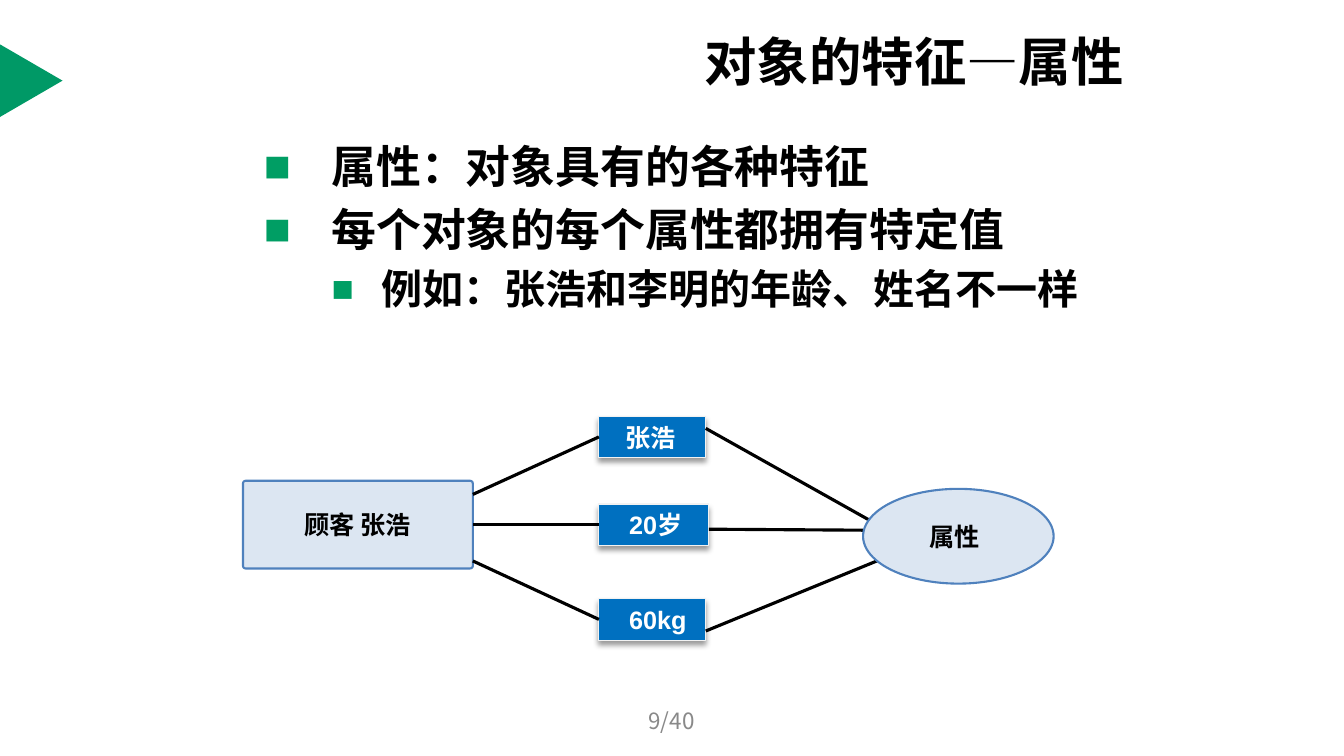
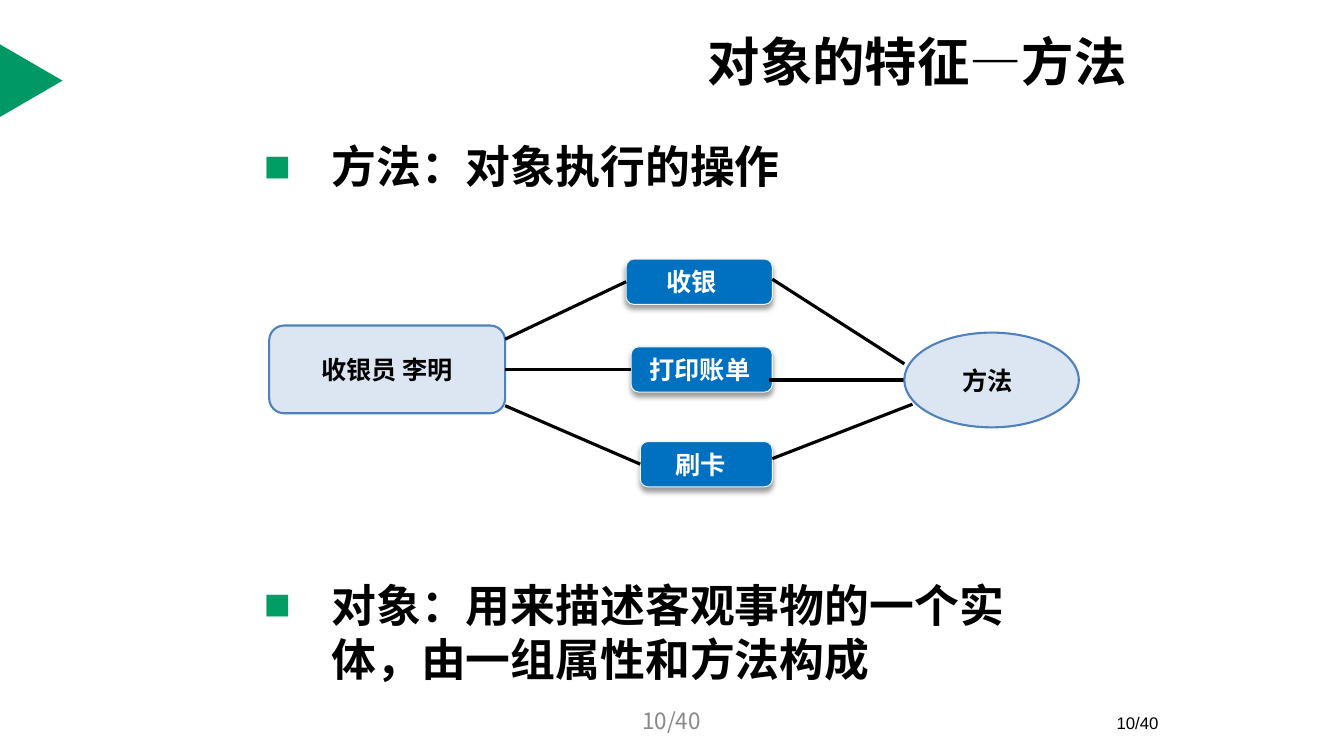
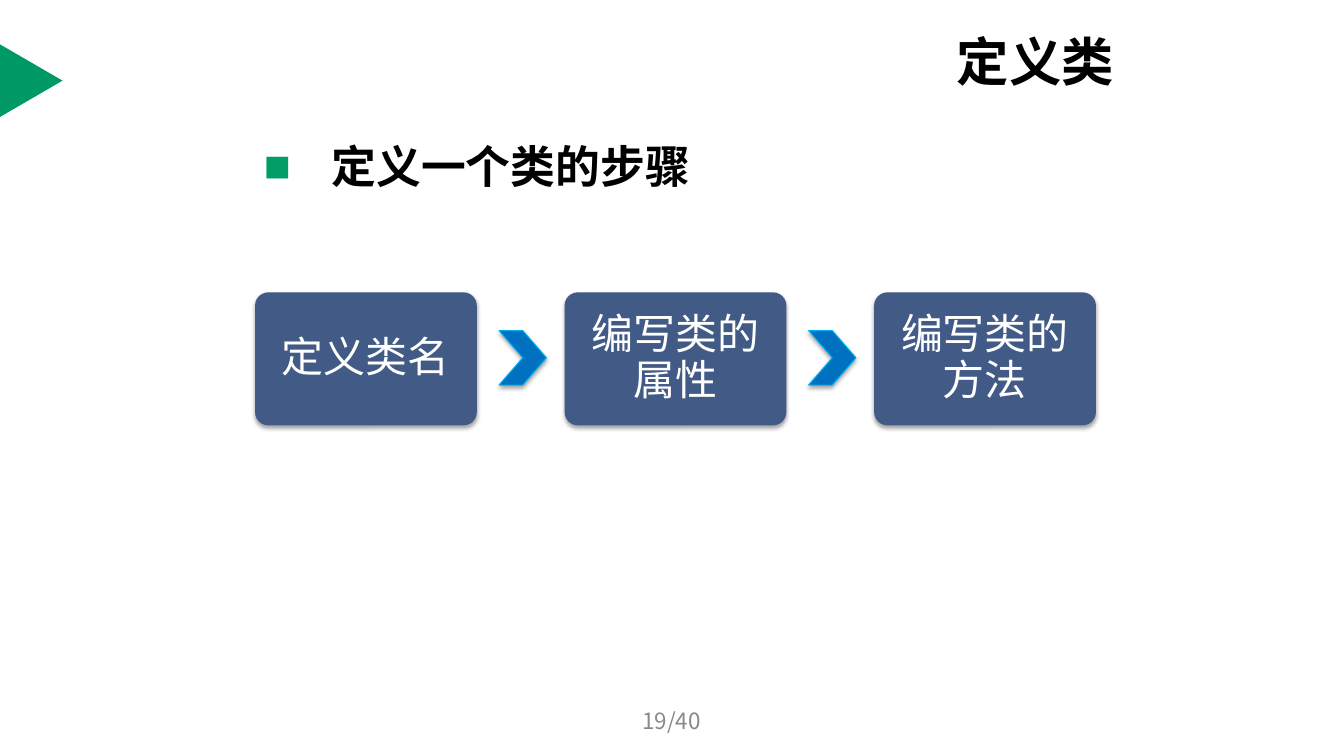
from dataclasses import dataclass

from lxml.etree import SubElement
from pptx import Presentation
from pptx.dml.color import RGBColor
from pptx.enum.shapes import MSO_CONNECTOR, MSO_SHAPE as SHAPE
from pptx.enum.text import MSO_ANCHOR as ANCHOR, PP_ALIGN as ALIGN
from pptx.oxml.ns import qn
from pptx.util import Inches, Pt


@dataclass(frozen=True)
class Theme:
    sans: str = "Noto Sans CJK SC"
    latin: str = "Arial"
    black: str = "000000"
    white: str = "FFFFFF"
    grey: str = "898989"
    flag: str = "009966"
    bullet: str = "009E64"
    blue: str = "0070C0"
    tag_line: str = "F2F2F2"
    pale: str = "DCE6F2"
    pale_line: str = "4F81BD"
    step: str = "415A86"
    chevron_line: str = "00B0F0"
    title_size: float = 37.4
    body_size: float = 32
    sub_size: float = 29.3
    step_size: float = 30
    label_size: float = 18
    page_size: float = 16
    small_size: float = 12


T = Theme()
TAG_SHADOW = (40, 4, 3)
STEP_SHADOW = (35, 3.1, 1.8)


def rgb(color):
    return RGBColor.from_string(color)


def write(p, text, size, color=T.black, font=T.sans, bold=False,
          align=ALIGN.LEFT, spacing=None):
    p.alignment = align
    if spacing:
        p.line_spacing = spacing
    r = p.add_run()
    r.text = text
    f = r.font
    f.name, f.size, f.bold = font, Pt(size), bold
    f.color.rgb = rgb(color)
    SubElement(r._r.get_or_add_rPr(), qn("a:ea"), typeface=T.sans)


def add_bullet(p, margin, hanging, percent):
    pPr = p._p.get_or_add_pPr()
    pPr.set("marL", str(Inches(margin)))
    pPr.set("indent", str(-Inches(hanging)))
    color = SubElement(pPr, qn("a:buClr"))
    SubElement(color, qn("a:srgbClr"), val=T.bullet)
    SubElement(pPr, qn("a:buSzPct"), val=str(percent * 1000))
    SubElement(pPr, qn("a:buFont"), typeface=T.latin)
    SubElement(pPr, qn("a:buChar"), char="■")


def add_shadow(sp, alpha, blur, distance):
    effects = sp._element.spPr.find(qn("a:effectLst"))
    shadow = SubElement(effects, qn("a:outerShdw"), blurRad=str(Pt(blur)),
                        dist=str(Pt(distance)), dir="5400000", rotWithShape="0")
    color = SubElement(shadow, qn("a:srgbClr"), val=T.black)
    SubElement(color, qn("a:alpha"), val=str(alpha * 1000))


class Deck:
    def __init__(self):
        self.prs = Presentation()
        self.prs.slide_width, self.prs.slide_height = Inches(13.33), Inches(7.5)
        self.s = None

    def slide(self, title, left, page):
        self.s = self.prs.slides.add_slide(self.prs.slide_layouts[6])
        flag = self.shape(SHAPE.ISOSCELES_TRIANGLE, -0.05, 0.49, 0.72, 0.62, T.flag)
        flag.rotation = 90
        self.text(title, left, 0.32, 11.47 - left, 0.57, size=T.title_size, bold=True)
        self.text(page, 4.55, 6.95, 4.22, 0.4, size=T.page_size, color=T.grey,
                  align=ALIGN.CENTER)

    def text(self, text, x, y, w, h, anchor=ANCHOR.MIDDLE, **fmt):
        tf = self.s.shapes.add_textbox(*map(Inches, (x, y, w, h))).text_frame
        tf.word_wrap = True
        tf.vertical_anchor = anchor
        write(tf.paragraphs[0], text, **fmt)

    def bullets(self, items, top=1.33, width=8.36, height=1.9):
        box = (2.52, top, width, height)
        tf = self.s.shapes.add_textbox(*map(Inches, box)).text_frame
        tf.word_wrap = True
        for i, (level, text) in enumerate(items):
            p = tf.paragraphs[0] if i == 0 else tf.add_paragraph()
            size = T.sub_size if level else T.body_size
            p.level = level
            if i:
                p.space_before = Pt(round(size * 0.2, 1))
            add_bullet(p, *((1.17, 0.5, 90) if level else (0.67, 0.67, 100)))
            write(p, text, size, bold=True)

    def shape(self, kind, x, y, w, h, fill, line=None, weight=0.75, radius=None,
              shadow=None):
        sp = self.s.shapes.add_shape(kind, *map(Inches, (x, y, w, h)))
        if radius is not None:
            sp.adjustments[0] = radius
        sp.fill.solid()
        sp.fill.fore_color.rgb = rgb(fill)
        if line:
            sp.line.color.rgb = rgb(line)
            sp.line.width = Pt(weight)
        else:
            sp.line.fill.background()
        sp.shadow.inherit = False
        if shadow:
            add_shadow(sp, *shadow)
        return sp

    def label(self, sp, text, inset=0.1, right=0.1, **fmt):
        tf = sp.text_frame
        tf.word_wrap = True
        tf.vertical_anchor = ANCHOR.MIDDLE
        tf.margin_left, tf.margin_right = Inches(inset), Inches(right)
        tf.margin_top = tf.margin_bottom = 0
        write(tf.paragraphs[0], text, **fmt)

    def node(self, kind, text, box, radius=None, right=0.1):
        sp = self.shape(kind, *box, T.pale, T.pale_line, 1.5, radius)
        self.label(sp, text, right=right, size=T.label_size, bold=True,
                   align=ALIGN.CENTER)
        return sp

    def tag(self, text, x, y, w, h, inset, radius):
        sp = self.shape(SHAPE.ROUNDED_RECTANGLE, x, y, w, h, T.blue, T.tag_line,
                        radius=radius, shadow=TAG_SHADOW)
        self.label(sp, text, inset, 0, size=T.label_size, color=T.white,
                   font=T.latin, bold=True)
        return sp

    def line(self, x1, y1, x2, y2):
        c = self.s.shapes.add_connector(MSO_CONNECTOR.STRAIGHT,
                                        *map(Inches, (x1, y1, x2, y2)))
        c.line.color.rgb = rgb(T.black)
        c.line.width = Pt(2.25)
        SubElement(c._element.spPr, qn("a:effectLst"))
        return c

    def feature_map(self, owner, owner_box, owner_radius, tags, tag_height,
                    tag_radius, hub, hub_box, hub_lines):
        owner_sp = self.node(SHAPE.ROUNDED_RECTANGLE, owner, owner_box, owner_radius)
        x, y, w, h = owner_box
        for (text, left, top, width, inset), offset in zip(tags, (-0.3, 0, 0.36)):
            tag = self.tag(text, left, top, width, tag_height, inset, tag_radius)
            link = self.line(x + w, y + h / 2 + offset, left, top + tag_height / 2)
            if offset == 0:
                link.begin_connect(owner_sp, 3)
            link.end_connect(tag, 1)
        for ends in hub_lines:
            self.line(*ends)
        self.node(SHAPE.OVAL, hub, hub_box, right=0.18)

    def steps(self, names, left=2.53, top=2.9, width=2.2, height=1.32, pitch=3.07):
        for i, name in enumerate(names):
            x = left + i * pitch
            sp = self.shape(SHAPE.ROUNDED_RECTANGLE, x, top, width, height, T.step,
                            radius=0.1, shadow=STEP_SHADOW)
            self.label(sp, name, 0.16, 0.16, size=T.step_size, color=T.white,
                       font=T.latin, align=ALIGN.CENTER, spacing=0.9)
            if i < len(names) - 1:
                self.shape(SHAPE.CHEVRON, x + 2.42, 3.28, 0.47, 0.54, T.blue,
                           T.chevron_line, shadow=STEP_SHADOW)


def main():
    d = Deck()

    d.slide("对象的特征—属性", 6.89, "9/40")
    d.bullets([(0, "属性：对象具有的各种特征"),
               (0, "每个对象的每个属性都拥有特定值"),
               (1, "例如：张浩和李明的年龄、姓名不一样")])
    d.feature_map(
        "顾客 张浩", (2.41, 4.77, 2.28, 0.87), 0.03,
        [("张浩", 5.94, 4.13, 1.06, 0.26),
         ("20岁", 5.94, 5, 1.09, 0.3),
         ("60kg", 5.94, 5.94, 1.06, 0.3)], 0.41, 0,
        "属性", (8.56, 4.85, 1.89, 0.94),
        [(7, 4.25, 8.64, 5.17), (7.03, 5.25, 8.56, 5.26), (7, 6.26, 8.71, 5.56)])

    d.slide("对象的特征—方法", 6.92, "10/40")
    d.bullets([(0, "方法：对象执行的操作")], height=0.7)
    d.feature_map(
        "收银员 李明", (2.67, 3.23, 2.34, 0.87), 0.17,
        [("收银", 6.21, 2.57, 1.45, 0.38),
         ("打印账单", 6.26, 3.44, 1.4, 0.16),
         ("刷卡", 6.35, 4.38, 1.31, 0.33)], 0.45, 0.17,
        "方法", (8.97, 3.3, 1.73, 0.94),
        [(7.66, 2.77, 8.97, 3.61), (7.63, 3.77, 9.05, 3.77), (7.66, 4.55, 9.05, 4.01)])
    d.bullets([(0, "对象：用来描述客观事物的一个实体，由一组属性和方法构成")],
              top=5.68, width=7.8, height=1.27)
    d.text("10/40", 9.26, 7.02, 2.33, 0.4, anchor=ANCHOR.TOP, size=T.small_size,
           font=T.latin, align=ALIGN.RIGHT)

    d.slide("定义类", 9.39, "19/40")
    d.bullets([(0, "定义一个类的步骤")], height=0.7)
    d.steps(["定义类名", "编写类的属性", "编写类的方法"])

    d.prs.save("out.pptx")


if __name__ == "__main__":
    main()
